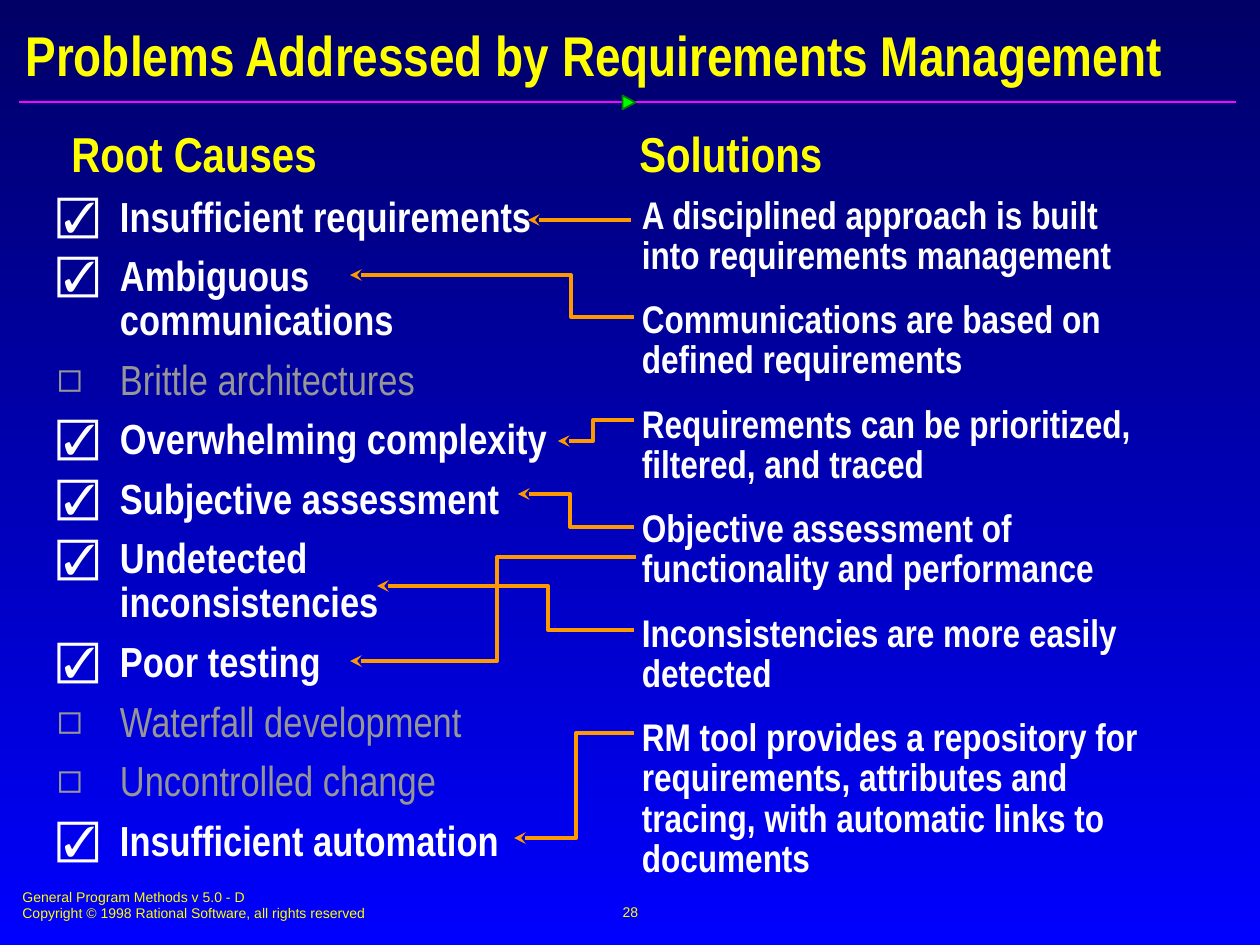
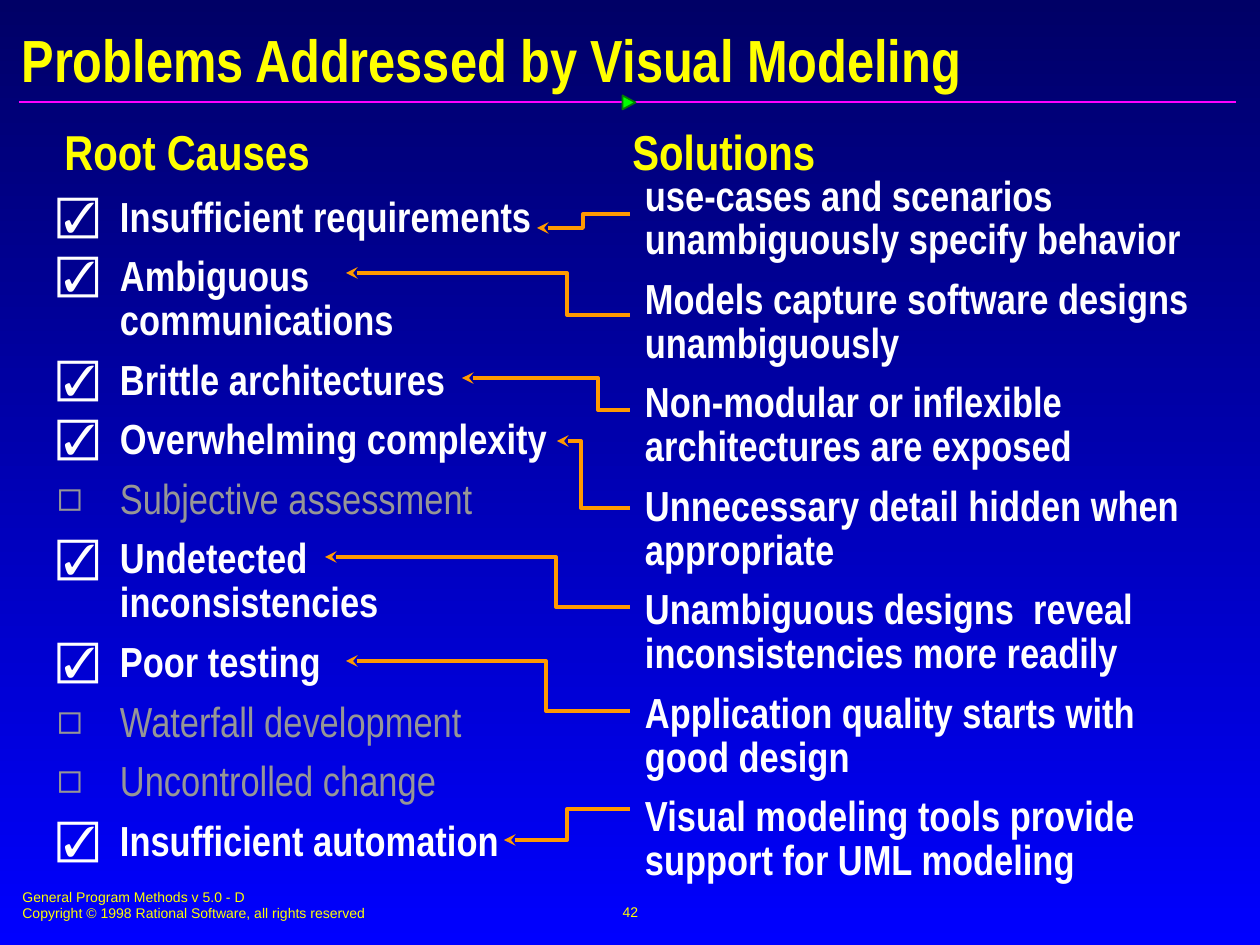
from lxml import etree
from pptx import Presentation
from pptx import util as u
from pptx.dml.color import RGBColor
from pptx.enum import shapes, text
from pptx.oxml.ns import qn

PX = 914400 / 126
YELLOW = RGBColor(0xFF, 0xFF, 0x00)
WHITE = RGBColor(0xFF, 0xFF, 0xFF)
GREY = RGBColor(0x96, 0x96, 0x96)
ORANGE = RGBColor(0xFF, 0x99, 0x00)
PINK = RGBColor(0xFF, 0x01, 0xFF)
GREEN = RGBColor(0x00, 0xFF, 0x00)
DARK = RGBColor(0x03, 0x7C, 0x03)
NAVY = RGBColor(0x00, 0x00, 0x66)
BLUE = RGBColor(0x00, 0x00, 0xFF)
NARROW = "Arial Narrow"
PLAIN = "Arial"
PAGE = (0, 0, 1260, 945)
CAUSES = (
    "Insufficient requirements",
    "Ambiguous communications",
    "Brittle architectures",
    "Overwhelming complexity",
    "Subjective assessment",
    "Undetected inconsistencies",
    "Poor testing",
    "Waterfall development",
    "Uncontrolled change",
    "Insufficient automation",
)
FOOTER = (
    "General Program Methods v 5.0 - D",
    "Copyright © 1998 Rational Software, all rights reserved",
)

# Each link: tip x, tip y, bend x, end x, end y; a straight one has no bend.
SLIDES = (
    dict(
        title="Problems Addressed by Requirements Management",
        number="28", size=32, place=(13, 18, 1240, 73),
        heads=((59, 117, 270, 72), (627, 117, 208, 72)),
        idle=("Brittle architectures", "Waterfall development",
              "Uncontrolled change"),
        box=(627, 189, 552, 590), points=22, gap=13.8,
        answers=(
            "A disciplined approach is built into requirements management",
            "Communications are based on defined requirements",
            "Requirements can be prioritized, filtered, and traced",
            "Objective assessment of functionality and performance",
            "Inconsistencies are more easily detected",
            "RM tool provides a repository for requirements, attributes "
            "and tracing, with automatic links to documents",
        ),
        links=(
            (528, 220, None, 631, 220),
            (350, 275, 571, 634, 317),
            (518, 494, 570, 634, 527),
            (377, 586, 548, 634, 630),
            (558, 441, 593, 634, 420),
            (514, 838, 576, 634, 733),
            (350, 661, 497, 636, 557),
        ),
    ),
    dict(
        title="Problems Addressed by Visual Modeling",
        number="42", size=34, place=(9, 22, 1240, 73),
        heads=((52, 115, 270, 72), (620, 115, 208, 72)),
        idle=("Subjective assessment", "Waterfall development",
              "Uncontrolled change"),
        box=(630, 168, 598, 640), points=24, gap=9,
        answers=(
            "use-cases and scenarios \nunambiguously specify behavior",
            "Models capture software designs unambiguously",
            "Non-modular or inflexible architectures are exposed",
            "Unnecessary detail hidden when appropriate",
            "Unambiguous designs  reveal inconsistencies more readily",
            "Application quality starts with \ngood design",
            "Visual modeling tools provide support for UML modeling",
        ),
        links=(
            (346, 273, 567, 630, 315),
            (462, 378, 598, 630, 410),
            (557, 441, 581, 630, 508),
            (325, 557, 556, 630, 607),
            (346, 661, 546, 630, 711),
            (504, 840, 567, 630, 809),
            (537, 228, 583, 630, 214),
        ),
    ),
)


def px(*values):
    return [u.Emu(round(v * PX)) for v in values]


def write(para, words, size, color, face=NARROW, bold=True):
    """Add the words run by run, with a line break at each newline."""
    for i, part in enumerate(words.split("\n")):
        if i:
            para.add_line_break()
        run = para.add_run()
        run.text = part
        font = run.font
        font.name, font.size, font.bold = face, u.Pt(size), bold
        font.color.rgb = color


def frame(slide, box, wrap=True, pad=None):
    body = slide.shapes.add_textbox(*px(*box)).text_frame
    body.word_wrap = wrap
    if pad:
        side, edge = px(*pad)
        body.margin_left = body.margin_right = side
        body.margin_top = body.margin_bottom = edge
    return body


def paras(body, lines, gap=0, pitch=None):
    """Yield a spaced paragraph with each line of text."""
    for i, line in enumerate(lines):
        para = body.add_paragraph() if i else body.paragraphs[0]
        para.space_before = u.Pt(gap if i else 0)
        if pitch:
            para.line_spacing = pitch
        yield para, line


def bullet(para, mark, color):
    props = para._p.get_or_add_pPr()
    props.set("marL", "457200")
    props.set("indent", "-457200")
    tint = etree.SubElement(props, qn("a:buClr"))
    etree.SubElement(tint, qn("a:srgbClr"), val=str(color))
    etree.SubElement(props, qn("a:buFont"), typeface=PLAIN)
    etree.SubElement(props, qn("a:buChar"), char=mark)


def line(slide, start, end, color, width):
    link = slide.shapes.add_connector(
        shapes.MSO_CONNECTOR.STRAIGHT, *px(*start, *end))
    link.line.color.rgb = color
    link.line.width = u.Pt(width)
    etree.SubElement(link._element.spPr, qn("a:effectLst"))
    return link


def band(slide, box):
    """Rule with a small pointer at its middle."""
    left, top, width, height = box
    mid = top + height // 2
    line(slide, (left, mid), (left + width, mid), PINK, 1)
    mark = slide.shapes.add_shape(
        shapes.MSO_SHAPE.ISOSCELES_TRIANGLE,
        *px(left + 603, top, 14, height))
    mark.rotation = 90
    mark.shadow.inherit = False
    mark.fill.solid()
    mark.fill.fore_color.rgb = GREEN
    mark.line.color.rgb = DARK
    mark.line.width = u.Pt(1)


def foot(slide, box, number):
    left, top, width, height = box
    body = frame(slide, (left, top + 2, 643, 47))
    for para, words in paras(body, FOOTER):
        write(para, words, 8, YELLOW, PLAIN, False)
    body = frame(slide, (left + 421, top, 399, height), wrap=False)
    body.vertical_anchor = text.MSO_ANCHOR.MIDDLE
    para = body.paragraphs[0]
    para.alignment = text.PP_ALIGN.CENTER
    write(para, number, 8, YELLOW, PLAIN, False)


def title(slide, box, words, size):
    head = slide.shapes.title
    head.left, head.top, head.width, head.height = px(*box)
    body = head.text_frame
    body.auto_size = text.MSO_AUTO_SIZE.NONE
    body.vertical_anchor = text.MSO_ANCHOR.MIDDLE
    para = body.paragraphs[0]
    para.alignment = text.PP_ALIGN.LEFT
    write(para, words, size, YELLOW)


def heading(slide, box, words):
    body = frame(slide, box, wrap=False)
    write(body.paragraphs[0], words, 28, YELLOW)


def causes(slide, box, idle):
    """Checklist in which the idle causes are grey and unticked."""
    body = frame(slide, box, pad=(15, 8))
    for para, words in paras(body, CAUSES, 9, 0.87):
        off = words in idle
        color = GREY if off else WHITE
        bullet(para, "◻" if off else "☑", color)
        write(para, words, 24, color, bold=not off)


def answers(slide, box, lines, size, gap):
    body = frame(slide, box, pad=(15, 8))
    for para, words in paras(body, lines, gap, 0.87):
        write(para, words, size, WHITE)


def links(slide, box, routes):
    """Arrows from the solutions back to the causes."""
    left, top = box[:2]
    for x, y, bend, far, low in routes:
        tip, end = (left + x, top + y), (left + far, top + low)
        if bend is None:
            link = line(slide, tip, end, ORANGE, 2.25)
        else:
            path = slide.shapes.build_freeform(*tip, scale=PX)
            turn = left + bend
            path.add_line_segments(
                [(turn, tip[1]), (turn, end[1]), end], close=False)
            link = path.convert_to_shape()
            link.shadow.inherit = False
            link.fill.background()
            link.line.color.rgb = ORANGE
            link.line.width = u.Pt(2.25)
        etree.SubElement(link.line._get_or_add_ln(), qn("a:headEnd"),
                         type="stealth")


def backdrop(master):
    fill = master.background.fill
    fill.gradient()
    fill.gradient_angle = 270
    for stop, color in zip(fill.gradient_stops, (NAVY, BLUE)):
        stop.color.rgb = color


def build(deck, data):
    slide = deck.slides.add_slide(deck.slide_layouts[5])
    band(slide, (19, 96, 1217, 13))
    foot(slide, (10, 880, 1240, 63), data["number"])
    title(slide, data["place"], data["title"], data["size"])
    for box, words in zip(data["heads"], ("Root Causes", "Solutions")):
        heading(slide, box, words)
    answers(slide, data["box"], data["answers"], data["points"], data["gap"])
    causes(slide, (42, 189, 525, 696), data["idle"])
    links(slide, PAGE, data["links"])


def main():
    deck = Presentation()
    deck.slide_width, deck.slide_height = px(*PAGE[2:])
    backdrop(deck.slide_master)
    for data in SLIDES:
        build(deck, data)
    deck.save("out.pptx")


if __name__ == "__main__":
    main()
